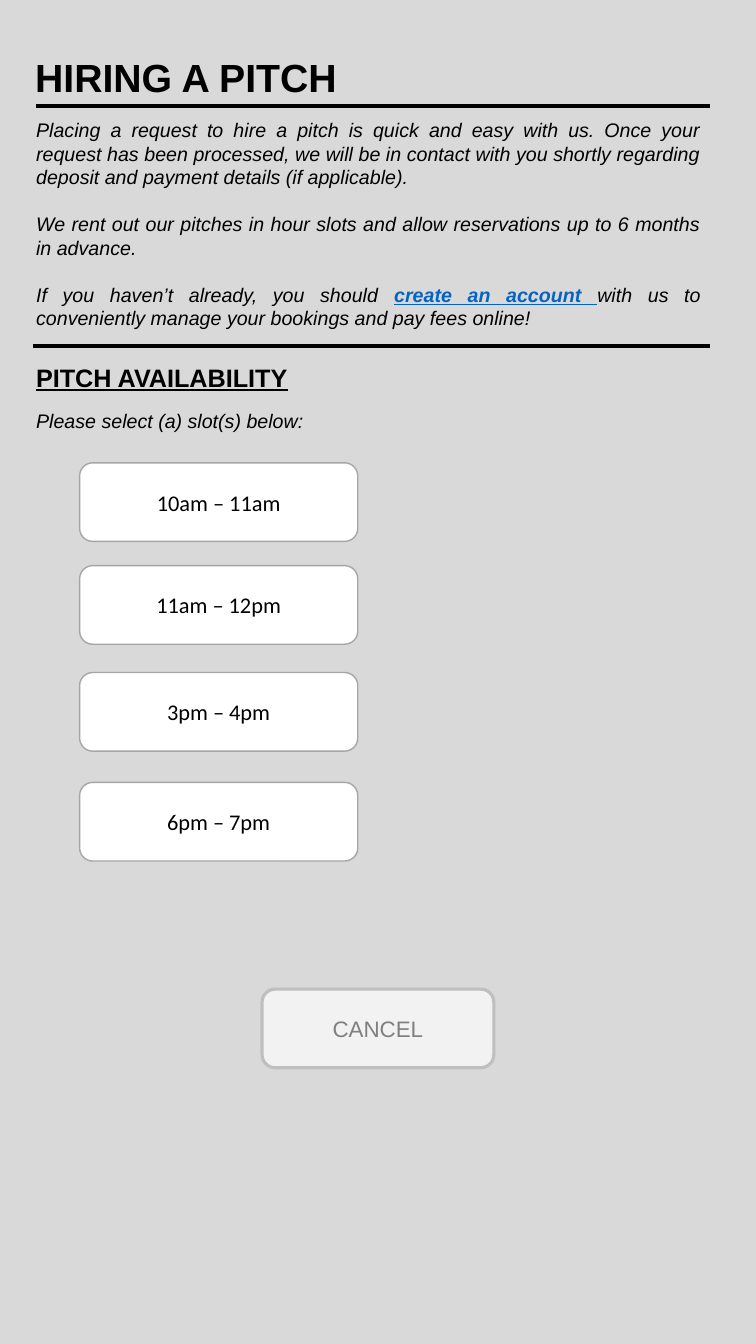
from dataclasses import dataclass

import pptx
import pptx.dml.color
import pptx.enum.shapes
import pptx.enum.text
import pptx.util
from lxml import etree

Inches = pptx.util.Inches
Pt = pptx.util.Pt
Align = pptx.enum.text.PP_ALIGN
Shapes = pptx.enum.shapes.MSO_SHAPE


@dataclass(frozen=True)
class Theme:
    page: str = "D9D9D9"
    ink: str = "000000"
    link: str = "0563C1"
    slot_fill: str = "FFFFFF"
    slot_line: str = "A6A6A6"
    cancel_fill: str = "F2F2F2"
    cancel_line: str = "BFBFBF"
    cancel_text: str = "808080"
    font: str = "Arial"
    slot_font: str = "Calibri"
    title: int = 28
    heading: int = 18
    button: int = 16
    body: int = 14
    paragraph_gap: float = 16.8
    rule: int = 3


THEME = Theme()
INTRO = [
    ["Placing a request to hire a pitch is quick and easy with us. Once your request has been "
     "processed, we will be in contact with you shortly regarding deposit and payment details "
     "(if applicable)."],
    ["We rent out our pitches in hour slots and allow reservations up to 6 months in advance."],
    ["If you haven’t already, you should ", "create an account ",
     "with us to conveniently manage your bookings and pay fees online!"],
]
SLOTS = {4.59: "10am – 11am", 5.61: "11am – 12pm", 6.67: "3pm – 4pm", 7.76: "6pm – 7pm"}


def rgb(value):
    return pptx.dml.color.RGBColor.from_string(value)


def style(font, size, color=THEME.ink, name=THEME.font, bold=False, italic=False, underline=False):
    font.size = Pt(size)
    font.name = name
    font.color.rgb = rgb(color)
    font.bold = bold
    font.italic = italic
    font.underline = underline


def add_text_box(slide, left, top, width, height):
    text_box = slide.shapes.add_textbox(Inches(left), Inches(top), Inches(width), Inches(height))
    text_box.text_frame.word_wrap = True
    return text_box.text_frame


def add_line_of_text(slide, box, text, size, **look):
    paragraph = add_text_box(slide, *box).paragraphs[0]
    paragraph.text = text
    style(paragraph.runs[0].font, size, **look)


def add_rule(slide, left, right, top):
    """Draw a thick horizontal divider."""
    rule = slide.shapes.add_connector(
        pptx.enum.shapes.MSO_CONNECTOR.STRAIGHT,
        Inches(left), Inches(top), Inches(right), Inches(top))
    rule.line.color.rgb = rgb(THEME.ink)
    rule.line.width = Pt(THEME.rule)
    etree.SubElement(rule._element.spPr, pptx.oxml.ns.qn("a:effectLst"))


def add_panel(slide, kind, box, fill):
    panel = slide.shapes.add_shape(kind, *map(Inches, box))
    panel.shadow.inherit = False
    panel.fill.solid()
    panel.fill.fore_color.rgb = rgb(fill)
    panel.line.fill.background()
    return panel


def add_button(slide, box, text, fill, line, line_width, **look):
    button = add_panel(slide, Shapes.ROUNDED_RECTANGLE, box, fill)
    button.line.color.rgb = rgb(line)
    button.line.width = Pt(line_width)
    button.text_frame.vertical_anchor = pptx.enum.text.MSO_ANCHOR.MIDDLE
    paragraph = button.text_frame.paragraphs[0]
    paragraph.text = text
    paragraph.alignment = Align.CENTER
    style(paragraph.runs[0].font, THEME.button, **look)


def add_intro(slide, left, top, width, height):
    frame = add_text_box(slide, left, top, width, height)
    for index, parts in enumerate(INTRO):
        paragraph = frame.paragraphs[0] if index == 0 else frame.add_paragraph()
        paragraph.alignment = Align.JUSTIFY
        if index:
            paragraph.space_before = Pt(THEME.paragraph_gap)
        for part in parts:
            run = paragraph.add_run()
            run.text = part
            is_link = part.startswith("create")
            style(run.font, THEME.body, THEME.link if is_link else THEME.ink,
                  bold=is_link, italic=True, underline=is_link)


def add_header(slide, left, top, width):
    add_line_of_text(slide, (left, top, width, 0.57), "HIRING A PITCH", THEME.title, bold=True)
    add_rule(slide, left + 0.11, left + 6.79, top + 0.57)
    add_intro(slide, left + 0.01, top + 0.64, width, 2.22)
    add_rule(slide, left + 0.08, left + 6.79, top + 2.95)


def add_availability(slide, left, top, width):
    add_line_of_text(slide, (left, top, width, 0.4), "PITCH AVAILABILITY", THEME.heading,
                     bold=True, underline=True)
    add_line_of_text(slide, (left, top + 0.47, width, 0.34), "Please select (a) slot(s) below:",
                     THEME.body, italic=True)
    for slot_top, hours in SLOTS.items():
        add_button(slide, (left + 0.53, slot_top, 2.76, 0.78), hours,
                   THEME.slot_fill, THEME.slot_line, 1, name=THEME.slot_font)


def main():
    presentation = pptx.Presentation()
    presentation.slide_width = Inches(7.5)
    presentation.slide_height = Inches(13.33)
    slide = presentation.slides.add_slide(presentation.slide_layouts[6])
    add_panel(slide, Shapes.RECTANGLE, (0, 0, 7.5, 13.33), THEME.page)
    add_header(slide, 0.25, 0.48, 6.79)
    add_availability(slide, 0.26, 3.54, 6.79)
    add_button(slide, (2.6, 9.81, 2.3, 0.78), "CANCEL",
               THEME.cancel_fill, THEME.cancel_line, 2.25, color=THEME.cancel_text)
    presentation.save("out.pptx")


if __name__ == "__main__":
    main()
